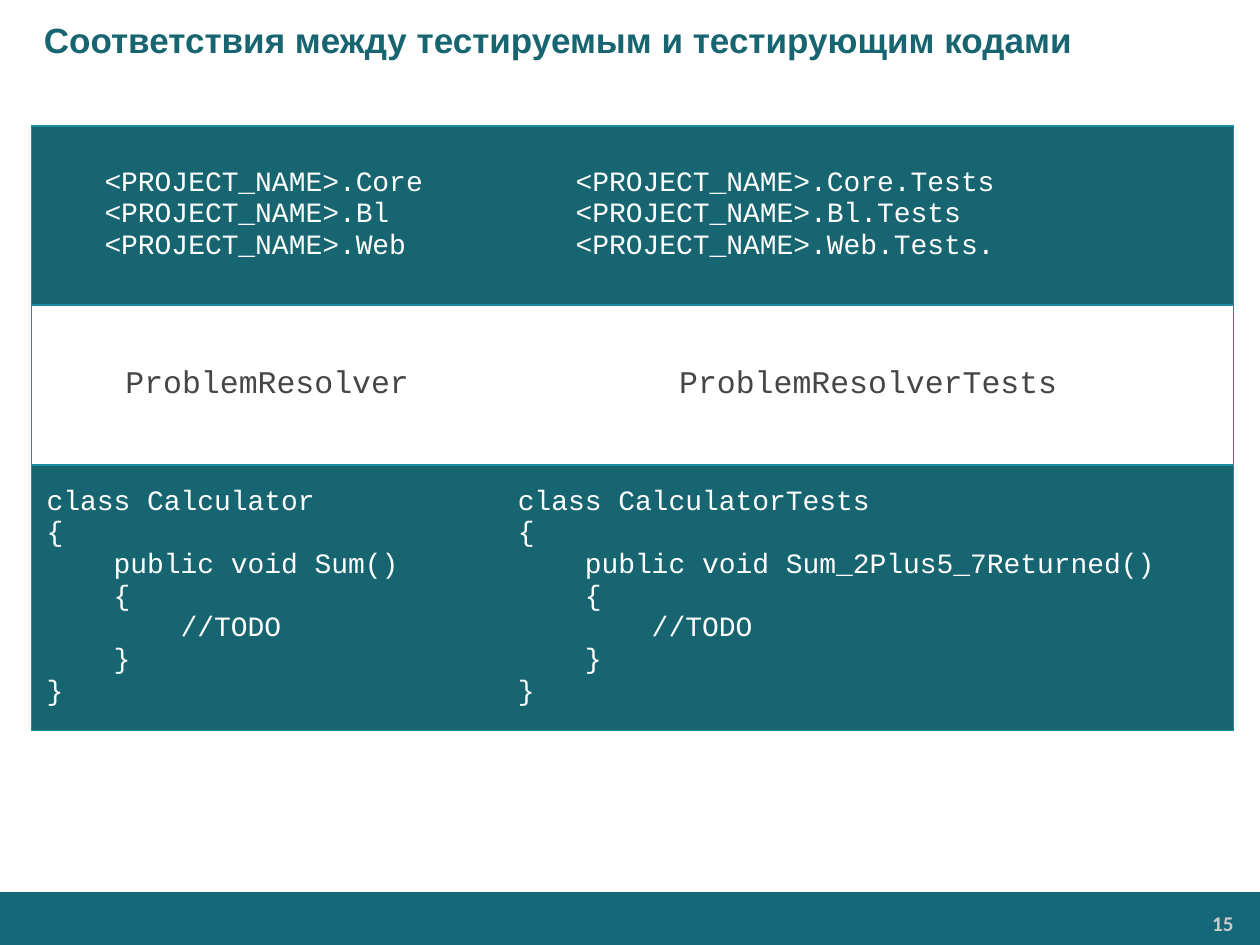
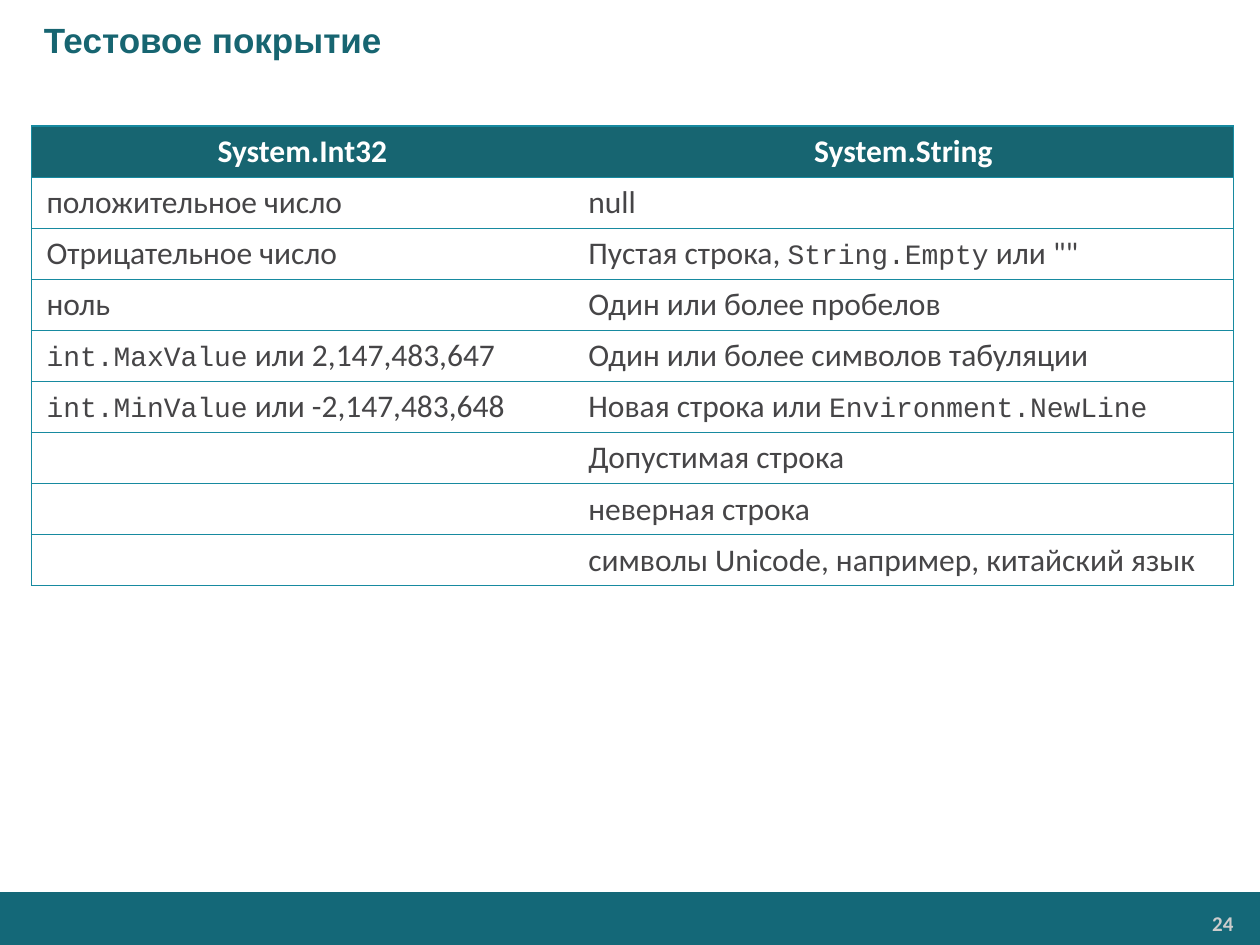
from lxml import etree
from pptx import Presentation
from pptx.dml.color import RGBColor
from pptx.enum.shapes import MSO_SHAPE
from pptx.enum.text import MSO_ANCHOR, PP_ALIGN
from pptx.oxml.ns import qn
from pptx.util import Inches, Pt

RECT = MSO_SHAPE.RECTANGLE
TOP, MIDDLE = MSO_ANCHOR.TOP, MSO_ANCHOR.MIDDLE
LEFT, CENTER, RIGHT = PP_ALIGN.LEFT, PP_ALIGN.CENTER, PP_ALIGN.RIGHT

COLORS = {
    "band": "146878",
    "teal": "176571",
    "edge": "1B8BA0",
    "rule": "178AA0",
    "text": "464547",
    "white": "FFFFFF",
    "page": "CCCCCC",
}
# Style: font, size, colour, bold
TITLE = ("Arial", 20, "teal", True)
PAGE = ("Calibri", 12, "page", True)
HEAD = ("Calibri", 18, "white", True)
BODY = ("Calibri", 18, "text", False)
WORD = ("Courier New", 16, "text", False)
CODE = ("Courier New", 16, "white", False)
NAME = ("Courier New", 18, "text", False)

MODULES = ["Core", "Bl", "Web"]
CHECKS = [  # backticks enclose code
    ("положительное число", "null"),
    ("Отрицательное число", 'Пустая строка, `String.Empty` или ""'),
    ("ноль", "Один или более пробелов"),
    ("`int.MaxValue` или 2,147,483,647", "Один или более символов табуляции"),
    ("`int.MinValue` или -2,147,483,648", "Новая строка или `Environment.NewLine`"),
    ("", "Допустимая строка"),
    ("", "неверная строка"),
    ("", "символы Unicode, например, китайский язык"),
]


def color(key):
    return RGBColor.from_string(COLORS[key])


def set_font(font, style):
    font.name, size, key, font.bold = style
    font.size = Pt(size)
    font.color.rgb = color(key)


def write(frame, lines, style, align=LEFT, indent=0):
    """Write one paragraph per line; parts in backticks are set as code."""
    for i, line in enumerate(lines):
        para = frame.add_paragraph() if i else frame.paragraphs[0]
        para.alignment = align
        if indent:
            props = para._p.get_or_add_pPr()
            props.set("marL", str(Inches(indent)))
            props.set("indent", "0")
        if not line:
            set_font(para.font, style)
        for j, part in enumerate(line.split("`")):
            if part:
                run = para.add_run()
                run.text = part
                set_font(run.font, WORD if j % 2 else style)


def set_margins(item, across, down):
    item.margin_left = item.margin_right = Inches(across)
    item.margin_top = item.margin_bottom = Inches(down)


def add_text(slide, box, text, style, align=LEFT, anchor=TOP, indent=0,
             margins=(0.1, 0.05)):
    frame = slide.shapes.add_textbox(*map(Inches, box)).text_frame
    frame.word_wrap = True
    frame.vertical_anchor = anchor
    set_margins(frame, *margins)
    write(frame, [text], style, align, indent)


def add_page(deck, title, number):
    """Add a slide with its title, bottom band and page number."""
    slide = deck.slides.add_slide(deck.slide_layouts[6])
    band = slide.shapes.add_shape(RECT, *map(Inches, (0, 7.08, 10, 0.42)))
    band.shadow.inherit = False
    band.fill.solid()
    band.fill.fore_color.rgb = color("band")
    band.line.fill.background()
    add_text(slide, (8.23, 7.19, 1.63, 0.28), str(number), PAGE, RIGHT,
             margins=(0.07, 0.04))
    add_text(slide, (0, 0, 10, 0.63), title, TITLE, anchor=MIDDLE, indent=0.25)
    return slide


def add_grid(slide, cols, rows):
    """Add a plain table with the given column widths and row heights."""
    box = (0.25, 1, sum(cols), sum(rows))
    grid = slide.shapes.add_table(len(rows), len(cols), *map(Inches, box)).table
    grid.first_row = grid.horz_banding = False
    for col, width in zip(grid.columns, cols):
        col.width = Inches(width)
    for row, height in zip(grid.rows, rows):
        row.height = Inches(height)
    return grid


def set_edges(cell, first, key, width):
    """Rule a cell on all sides except between the two columns."""
    props = cell._tc.get_or_add_tcPr()
    inner = "R" if first else "L"
    for side in "LRTB":
        line = etree.SubElement(props, qn(f"a:ln{side}"), w=str(Pt(width)))
        if side == inner:
            etree.SubElement(line, qn("a:noFill"))
        else:
            fill = etree.SubElement(line, qn("a:solidFill"))
            etree.SubElement(fill, qn("a:srgbClr"), val=COLORS[key])


def fill_row(grid, row, texts, style, fill, edge, align=LEFT, indent=0,
             anchor=MIDDLE):
    for col, lines in enumerate(texts):
        cell = grid.cell(row, col)
        set_edges(cell, col == 0, *edge)
        cell.fill.solid()
        cell.fill.fore_color.rgb = color(fill)
        cell.vertical_anchor = anchor
        set_margins(cell, 0.12, 0.05)
        write(cell.text_frame, lines, style, align, indent)


def class_code(name, method):
    return [f"сlass {name}", "{", f"    public void {method}()", "    {",
            "        //TODO", "    }", "}"]


def add_pairs(deck):
    slide = add_page(deck, "Соответствия между тестируемым и тестирующим кодами", 15)
    grid = add_grid(slide, (3.74, 5.8), (1.42, 1.27, 2.11))
    edge = ("edge", 1)
    # Projects
    core = [f"<PROJECT_NAME>.{name}" for name in MODULES]
    tests = [f"{name}.Tests" for name in core]
    tests[-1] += "."
    fill_row(grid, 0, (core, tests), CODE, "teal", edge, indent=0.46)
    # Classes
    names = (["ProblemResolver"], ["ProblemResolverTests"])
    fill_row(grid, 1, names, NAME, "white", edge, CENTER)
    # Methods
    codes = (class_code("Calculator", "Sum"),
             class_code("CalculatorTests", "Sum_2Plus5_7Returned"))
    fill_row(grid, 2, codes, CODE, "teal", edge)


def add_cover(deck):
    slide = add_page(deck, "Тестовое покрытие", 24)
    count = len(CHECKS) + 1
    grid = add_grid(slide, (4.3, 5.24), [3.65 / count] * count)
    edge = ("rule", 0.75)
    heads = (["System.Int32"], ["System.String"])
    fill_row(grid, 0, heads, HEAD, "teal", edge, CENTER, anchor=TOP)
    for row, pair in enumerate(CHECKS, 1):
        fill_row(grid, row, [[text] for text in pair], BODY, "white", edge)


def main():
    deck = Presentation()
    deck.slide_width, deck.slide_height = Inches(10), Inches(7.5)
    add_pairs(deck)
    add_cover(deck)
    deck.save("out.pptx")


if __name__ == "__main__":
    main()
